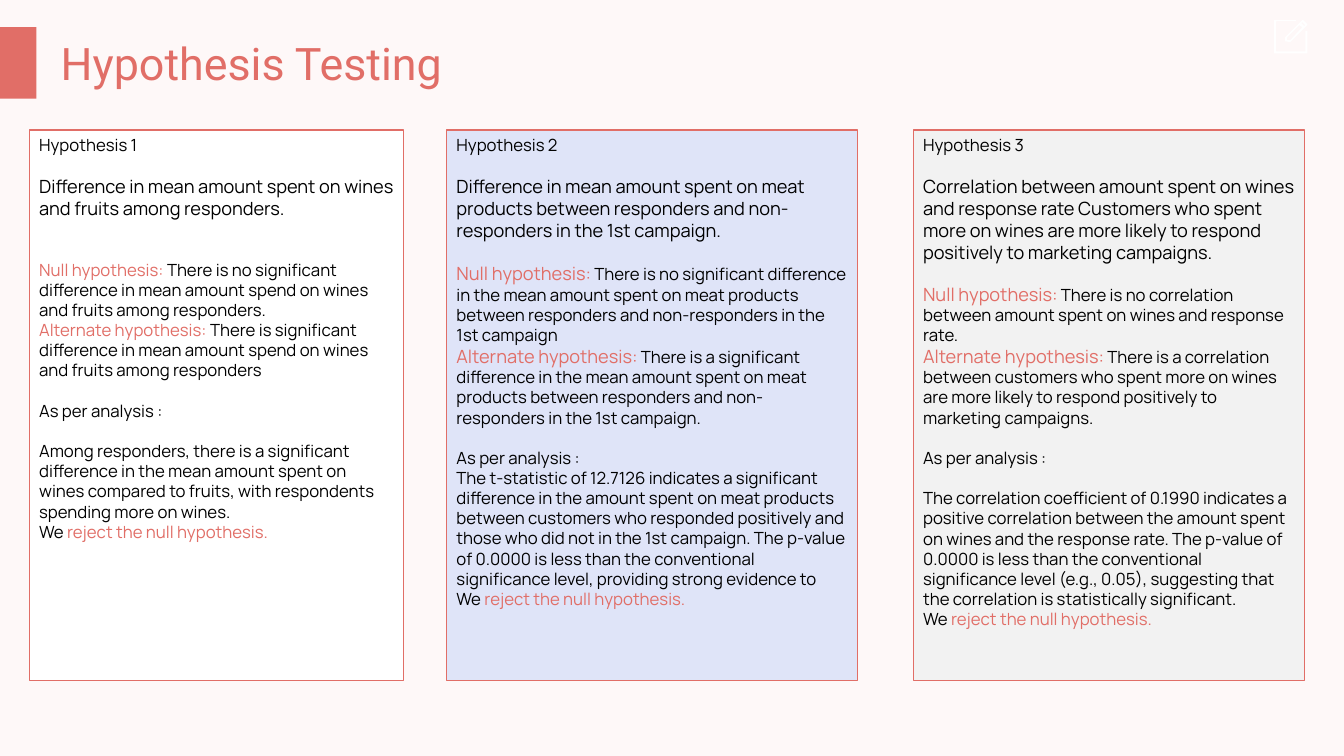
"""Build the Hypothesis Testing slide with three hypothesis cards."""
from dataclasses import dataclass

from pptx import Presentation
from pptx.dml.color import RGBColor
from pptx.enum.shapes import MSO_SHAPE as Preset
from pptx.enum.text import MSO_ANCHOR as Anchor, PP_ALIGN as Align
from pptx.shapes.autoshape import Shape
from pptx.slide import Slide
from pptx.text.text import TextFrame, _Paragraph as Paragraph
from pptx.util import Pt

COLORS = {
    "page": "FEF8F8",
    "accent": "E16E67",
    "ink": "000000",
    "white": "FFFFFF",
    "lavender": "DFE4F8",
    "grey": "F2F2F2",
}
BODY_SIZE = 12
CLAIM_SIZE = 13
LINE_GAP = 14.4
CARD_TOP, CARD_HEIGHT = 92.9, 393.1
ICON_UNIT = 0.72

PENCIL = [(1292, 20), (1275, 37), (1275, 41), (1280, 42), (1297, 25), (1297, 24), (1293, 20)]
PENCIL_BODY = [(1280, 40), (1277, 40), (1277, 37), (1289, 25), (1292, 27)]
PENCIL_END = [(1295, 25), (1294, 26), (1291, 23), (1292, 22)]
PAGE_FRAME = [
    (1295, 51), (1266, 51), (1266, 21), (1286, 21), (1286, 20), (1264, 20),
    (1264, 53), (1297, 53), (1297, 31), (1295, 31),
]


@dataclass(frozen=True)
class Run:
    """A stretch of text with one size and colour."""
    text: str
    size: float = BODY_SIZE
    color: str = "ink"
    font: str = "Manrope"


@dataclass(frozen=True)
class Hypothesis:
    """One card: its place, fill, wording and spacing."""
    number: int
    left: float
    width: float
    fill: str
    claim: str
    null: str
    alternate: str
    finding: str
    label_size: float = CLAIM_SIZE
    null_gap: float = LINE_GAP
    finding_gap: float = LINE_GAP


HYPOTHESES = [
    Hypothesis(
        1, 20.9, 267.5, "white",
        "Difference in mean amount spent on wines and fruits among responders.",
        "There is no significant difference in mean amount spend on wines and fruits among responders.",
        "There is significant difference in mean amount spend on wines and fruits among responders",
        "Among responders, there is a significant difference in the mean amount spent on wines "
        "compared to fruits, with respondents spending more on wines.",
        label_size=BODY_SIZE, null_gap=2 * LINE_GAP,
    ),
    Hypothesis(
        2, 319, 293.5, "lavender",
        "Difference in mean amount spent on meat products between responders and "
        "non-responders in the 1st campaign.",
        "There is no significant difference in the mean amount spent on meat products between "
        "responders and non-responders in the 1st campaign",
        "There is a significant difference in the mean amount spent on meat products between "
        "responders and non-responders in the 1st campaign.",
        "The t-statistic of 12.7126 indicates a significant difference in the amount spent on meat "
        "products between customers who responded positively and those who did not in the 1st "
        "campaign. The p-value of 0.0000 is less than the conventional significance level, "
        "providing strong evidence to",
        null_gap=15.6, finding_gap=0,
    ),
    Hypothesis(
        3, 652.3, 279.6, "grey",
        "Correlation between amount spent on wines and response rate Customers who spent more on "
        "wines are more likely to respond positively to marketing campaigns.",
        "There is no correlation between amount spent on wines and response rate.",
        "There is a correlation between customers who spent more on wines are more likely to "
        "respond positively to marketing campaigns.",
        "The correlation coefficient of 0.1990 indicates a positive correlation between the amount "
        "spent on wines and the response rate. The p-value of 0.0000 is less than the conventional "
        "significance level (e.g., 0.05), suggesting that the correlation is statistically "
        "significant.",
    ),
]


def color(name: str) -> RGBColor:
    """Look up a named colour."""
    return RGBColor.from_string(COLORS[name])


def paint(shape: Shape, fill: str, outline: str | None = None) -> None:
    """Give a shape a flat fill and an optional thin outline."""
    shape.shadow.inherit = False
    shape.fill.solid()
    shape.fill.fore_color.rgb = color(fill)
    if outline:
        shape.line.color.rgb = color(outline)
        shape.line.width = Pt(0.75)
    else:
        shape.line.fill.background()


def add_box(slide: Slide, left: float, top: float, width: float, height: float,
            fill: str, outline: str | None = None) -> Shape:
    """Add a rectangle measured in points."""
    box = slide.shapes.add_shape(Preset.RECTANGLE, Pt(left), Pt(top), Pt(width), Pt(height))
    paint(box, fill, outline)
    return box


def write(paragraph: Paragraph, runs: list[Run], gap: float = 0) -> None:
    """Fill a paragraph run by run."""
    paragraph.alignment = Align.LEFT
    if gap:
        paragraph.space_before = Pt(gap)
    for part in runs:
        run = paragraph.add_run()
        run.text = part.text
        run.font.size = Pt(part.size)
        run.font.name = part.font
        run.font.color.rgb = color(part.color)


def write_all(frame: TextFrame, lines: list[tuple[list[Run], float]]) -> None:
    """Write each line as its own paragraph with its gap above."""
    frame.word_wrap = True
    frame.vertical_anchor = Anchor.TOP
    for index, (runs, gap) in enumerate(lines):
        write(frame.add_paragraph() if index else frame.paragraphs[0], runs, gap)


def add_hypothesis(slide: Slide, item: Hypothesis) -> None:
    """Draw one hypothesis card."""
    card = add_box(slide, item.left, CARD_TOP, item.width, CARD_HEIGHT, item.fill, "accent")
    null_label = Run("Null hypothesis:", item.label_size, "accent")
    alternate_label = Run("Alternate hypothesis:", item.label_size, "accent")
    write_all(card.text_frame, [
        ([Run(f"Hypothesis {item.number}")], 0),
        ([Run(item.claim, CLAIM_SIZE)], LINE_GAP),
        ([null_label, Run(f" {item.null}")], item.null_gap),
        ([alternate_label, Run(f" {item.alternate}")], 0),
        ([Run("As per analysis :")], LINE_GAP),
        ([Run(item.finding)], item.finding_gap),
        ([Run("We "), Run("reject the null hypothesis.", color="accent")], 0),
    ])


def add_edit_icon(slide: Slide) -> None:
    """Draw the pencil-on-page icon in the corner."""
    builder = slide.shapes.build_freeform(*PENCIL[0], scale=Pt(ICON_UNIT))
    builder.add_line_segments(PENCIL[1:], close=True)
    for contour in (PENCIL_BODY, PENCIL_END, PAGE_FRAME):
        builder.move_to(*contour[0])
        builder.add_line_segments(contour[1:], close=True)
    paint(builder.convert_to_shape(), "white")


def main() -> None:
    """Build and save the slide."""
    deck = Presentation()
    deck.slide_width, deck.slide_height = Pt(960), Pt(540)
    slide = deck.slides.add_slide(deck.slide_layouts[6])
    slide.background.fill.solid()
    slide.background.fill.fore_color.rgb = color("page")
    add_edit_icon(slide)
    add_box(slide, 0, 19.4, 26, 51.1, "accent")
    heading = slide.shapes.add_textbox(Pt(36.3), Pt(22.3), Pt(693.4), Pt(46))
    write_all(heading.text_frame, [([Run("Hypothesis Testing", 32, "accent", "Roboto")], 0)])
    for item in HYPOTHESES:
        add_hypothesis(slide, item)
    deck.save("out.pptx")


if __name__ == "__main__":
    main()
